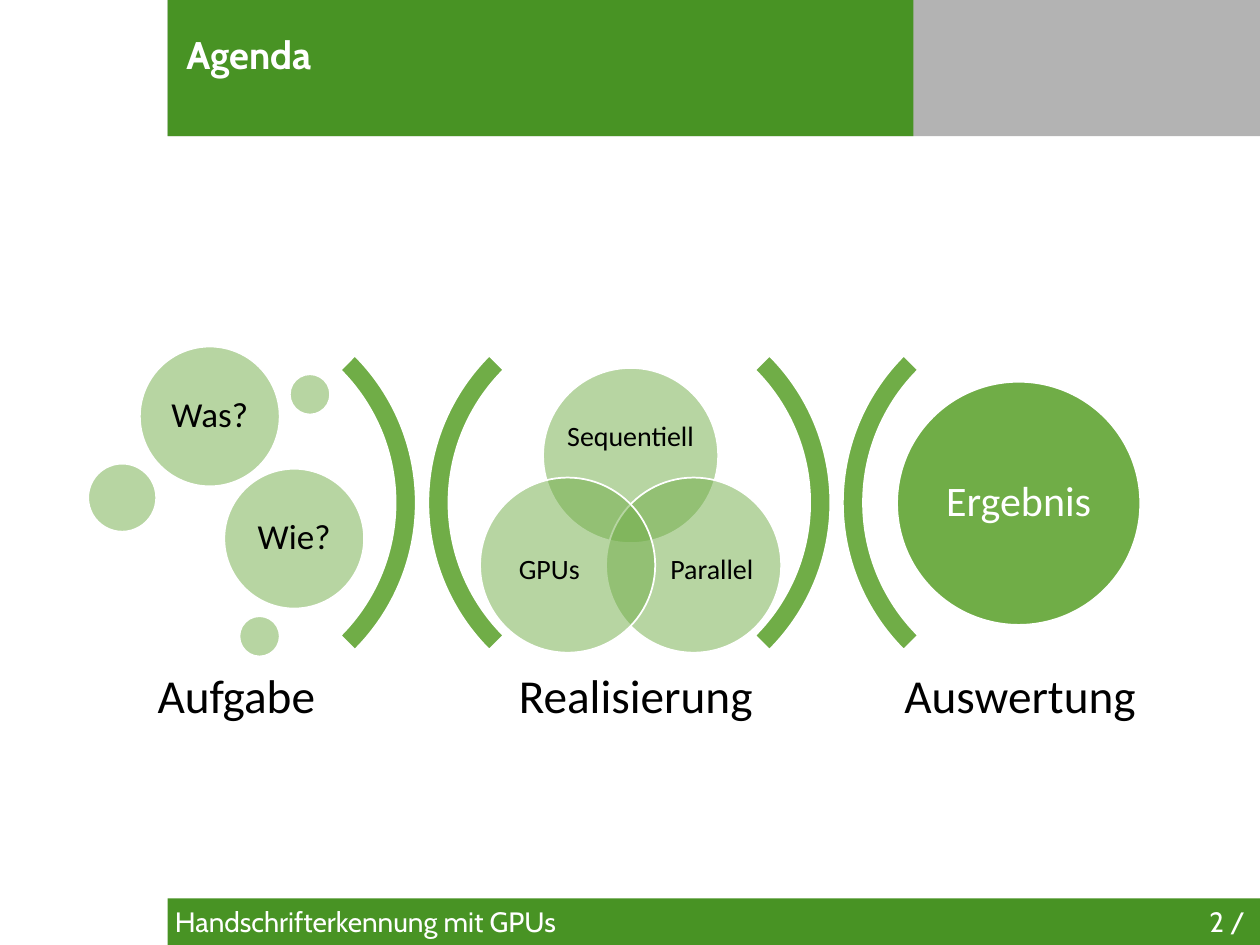
"""Build the agenda slide: three topics joined by arcs, with header and footer bars."""
from lxml import etree
from pptx import Presentation
from pptx.dml.color import RGBColor
from pptx.enum.shapes import MSO_SHAPE
from pptx.enum.text import MSO_ANCHOR, PP_ALIGN
from pptx.oxml.ns import qn
from pptx.util import Inches, Pt

RECTANGLE, OVAL, BLOCK_ARC = MSO_SHAPE.RECTANGLE, MSO_SHAPE.OVAL, MSO_SHAPE.BLOCK_ARC
TOP, MIDDLE = MSO_ANCHOR.TOP, MSO_ANCHOR.MIDDLE
LEFT, CENTER, RIGHT = PP_ALIGN.LEFT, PP_ALIGN.CENTER, PP_ALIGN.RIGHT

COLORS = {"bar": "489324", "gray": "B3B3B3", "green": "70AD47", "white": "FFFFFF", "black": "000000"}
WIDTH, HEIGHT = 10, 7.5
BAR_LEFT, HEADER_HEIGHT, FOOTER_TOP = 1.33, 1.08, 7.13
ARC_SIZE, ARC_THICKNESS, ARC_MIDDLE = 3.3, 0.16, 3.99
LABEL_SIZE, LABEL_TOP = (2.51, 0.66), 5.21
OVAL_TEXT_SHARE = 0.1464
BOX_INSETS = (0.1, 0.05, 0.1, 0.05)

BARS = [
    (BAR_LEFT, 0, WIDTH - BAR_LEFT, HEADER_HEIGHT, "gray"),
    (BAR_LEFT, 0, 5.92, HEADER_HEIGHT, "bar"),
    (BAR_LEFT, FOOTER_TOP, WIDTH - BAR_LEFT, HEIGHT - FOOTER_TOP, "bar"),
]
CLOSING_ARC, OPENING_ARC = (315, 45), (135, 225)
ARCS = [(0, CLOSING_ARC), (3.4, OPENING_ARC), (3.29, CLOSING_ARC), (6.69, OPENING_ARC)]
LABELS = [("Aufgabe", 0.62), ("Realisierung", 3.79), ("Auswertung", 6.84)]
CIRCLES = [
    ("Sequentiell", 4.31, 2.92, 1.39, 16, (0.19, 0.24, 0.19, 0.52)),
    ("Parallel", 4.81, 3.79, 1.39, 16, (0.42, 0.36, 0.13, 0.27)),
    ("GPUs", 3.81, 3.79, 1.39, 16, (0.13, 0.36, 0.42, 0.27)),
    ("Was?", 1.11, 2.75, 1.11, 20, (0.25,) * 4),
    ("Wie?", 1.78, 3.72, 1.11, 20, (0.25,) * 4),
    ("Ergebnis", 7.12, 3.03, 1.93, 24, (0.38,) * 4),
]
DOTS = [(0.7, 3.68, 0.54), (2.3, 2.97, 0.32), (1.9, 4.89, 0.32)]
FOOTERS = [("Handschrifterkennung mit GPUs", 1.29, 7.76, LEFT), ("2 /", 7.28, 2.7, RIGHT)]


def rgb(name):
    return RGBColor.from_string(COLORS[name])


def add_filled(slide, kind, box, color, outlined=True, alpha=None):
    shape = slide.shapes.add_shape(kind, *map(Inches, box))
    shape.shadow.inherit = False
    shape.fill.solid()
    shape.fill.fore_color.rgb = rgb(color)
    if alpha:
        color_element = shape.element.spPr.find(qn("a:solidFill"))[0]
        etree.SubElement(color_element, qn("a:alpha"), val=str(alpha * 1000))
    if outlined:
        shape.line.color.rgb = rgb("white")
        shape.line.width = Pt(1)
    else:
        shape.line.fill.background()
    return shape


def write(shape, text, insets, anchor, alignment, font, wrap=True, spacing=None):
    frame = shape.text_frame
    sides = ("margin_left", "margin_top", "margin_right", "margin_bottom")
    frame_format = dict(zip(sides, map(Inches, insets)), vertical_anchor=anchor, word_wrap=wrap)
    for name, value in frame_format.items():
        setattr(frame, name, value)
    frame.text = text
    paragraph = frame.paragraphs[0]
    paragraph.alignment = alignment
    if spacing:
        paragraph.line_spacing = spacing
    run_font = paragraph.runs[0].font
    name, size, color, bold = font
    for key, value in {"name": name, "size": Pt(size), "bold": bold}.items():
        setattr(run_font, key, value)
    run_font.color.rgb = rgb(color)


def add_text(slide, text, box, *style, **options):
    write(slide.shapes.add_textbox(*map(Inches, box)), text, *style, **options)


def add_circles(slide):
    for text, left, top, size, points, insets in CIRCLES:
        solid = text == "Ergebnis"
        shape = add_filled(slide, OVAL, (left, top, size, size), "green", alpha=None if solid else 50)
        inner = [round(inset - OVAL_TEXT_SHARE * size, 2) for inset in insets]
        font = ("Calibri", points, "white" if solid else "black", False)
        write(shape, text, inner, MIDDLE, CENTER, font, wrap=False, spacing=0.9)
    for left, top, size in DOTS:
        add_filled(slide, OVAL, (left, top, size, size), "green", alpha=50)


def main():
    presentation = Presentation()
    presentation.slide_width, presentation.slide_height = Inches(WIDTH), Inches(HEIGHT)
    slide = presentation.slides.add_slide(presentation.slide_layouts[5])

    for *box, color in BARS:
        add_filled(slide, RECTANGLE, box, color, outlined=False)
    for left, angles in ARCS:
        box = (left, ARC_MIDDLE - ARC_SIZE / 2, ARC_SIZE, ARC_SIZE)
        arc = add_filled(slide, BLOCK_ARC, box, "green")
        for index, angle in enumerate(angles):
            arc.adjustments[index] = angle * 0.6
        arc.adjustments[2] = ARC_THICKNESS / ARC_SIZE
    add_circles(slide)
    for text, left in LABELS:
        add_text(slide, text, (left, LABEL_TOP, *LABEL_SIZE), (0.11,) * 4, MIDDLE, CENTER,
                 ("Calibri", 27, "black", False), spacing=0.9)
    for text, left, width, alignment in FOOTERS:
        add_text(slide, text, (left, FOOTER_TOP, width, 0.33), BOX_INSETS, TOP, alignment,
                 ("Cabin", 16, "white", False))

    title = slide.shapes.title
    title.left, title.top, title.width, title.height = map(Inches, (1.38, 0.2, 5.87, 0.89))
    write(title, "Agenda", BOX_INSETS, TOP, LEFT, ("Cabin", 22, "white", True))
    slide.shapes.element.append(title.element)
    presentation.save("out.pptx")


if __name__ == "__main__":
    main()
